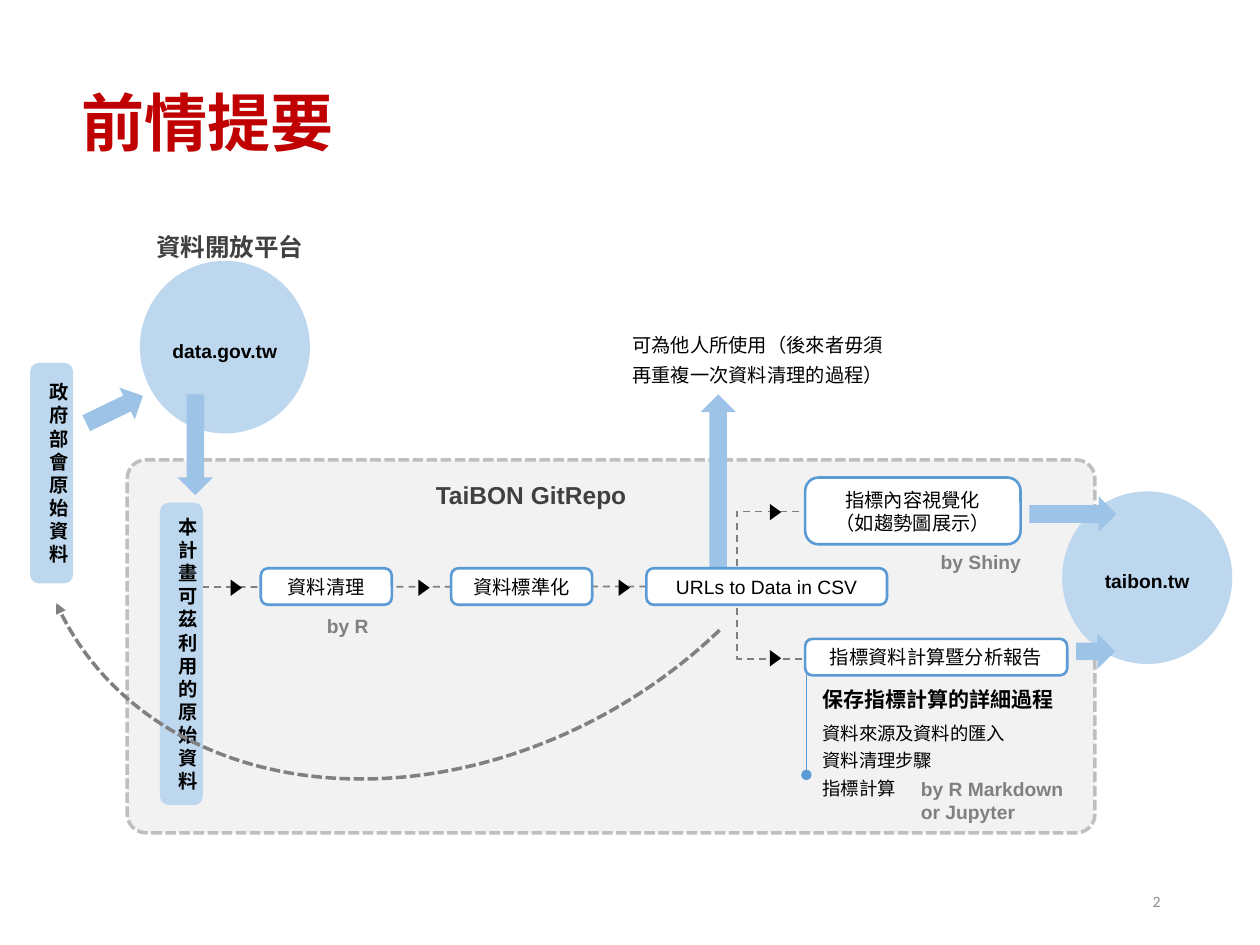
from dataclasses import dataclass

from lxml import etree
from pptx import Presentation
from pptx.dml.color import RGBColor
from pptx.enum import dml, shapes, text
from pptx.oxml import ns
from pptx.util import Inches, Pt

SHAPE = shapes.MSO_SHAPE
DASH = dml.MSO_LINE
ALIGN = text.PP_ALIGN
ANCHOR = text.MSO_ANCHOR


@dataclass(frozen=True)
class Theme:
    latin: str = "Arial"
    cjk: str = "Noto Sans CJK SC"
    number_font: str = "Calibri"
    red: str = "C00000"
    black: str = "000000"
    heading: str = "404040"
    grey: str = "808080"
    branch: str = "7F7F7F"
    number: str = "8C8C8C"
    panel: str = "F2F2F2"
    panel_edge: str = "BFBFBF"
    pale_blue: str = "BDD7EE"
    arrow_blue: str = "9DC3E6"
    edge_blue: str = "5B9BD5"
    white: str = "FFFFFF"
    title_size: float = 36
    heading_size: float = 14
    detail_title_size: float = 12
    body_size: float = 11
    detail_size: float = 10.5
    number_size: float = 9


T = Theme()


def colour(value):
    return RGBColor.from_string(value)


def style_line(line, value, width, dash=None):
    line.color.rgb = colour(value)
    line.width = Pt(width)
    if dash:
        line.dash_style = dash


def add_tail(item, kind):
    line = item.line._get_or_add_ln()
    etree.SubElement(line, ns.qn("a:tailEnd"), type=kind)


def write(frame, lines, size=T.body_size, font=T.latin, ink=T.black, bold=False,
          align=ALIGN.CENTER, spacing=None):
    frame.word_wrap = True
    frame.text = "\n".join(lines)
    for paragraph in frame.paragraphs:
        paragraph.alignment = align
        if spacing:
            paragraph.line_spacing = spacing
        style = paragraph.font
        style.size, style.bold, style.name = Pt(size), bold, font
        style.color.rgb = colour(ink)
        defaults = paragraph._p.pPr.find(ns.qn("a:defRPr"))
        etree.SubElement(defaults, ns.qn("a:ea"), typeface=T.cjk)


class Region:
    """A part of the slide; positions are inches from its top left corner."""

    def __init__(self, slide, left, top):
        self.shapes, self.left, self.top = slide.shapes, left, top

    def place(self, x, y):
        return Inches(self.left + x), Inches(self.top + y)

    def shape(self, kind, x, y, w, h, fill=None, line=None, adjust=(), rotation=0):
        item = self.shapes.add_shape(kind, *self.place(x, y), Inches(w), Inches(h))
        item.shadow.inherit = False
        item.rotation = rotation
        for index, value in enumerate(adjust):
            item.adjustments[index] = value
        if fill:
            item.fill.solid()
            item.fill.fore_color.rgb = colour(fill)
        else:
            item.fill.background()
        if line:
            style_line(item.line, *line)
        else:
            item.line.fill.background()
        return item

    def label(self, x, y, w, h, *lines, **style):
        frame = self.shapes.add_textbox(*self.place(x, y), Inches(w), Inches(h)).text_frame
        write(frame, lines, **style)
        return frame

    def line(self, x1, y1, x2, y2, *style):
        item = self.shapes.add_connector(
            shapes.MSO_CONNECTOR.STRAIGHT, *self.place(x1, y1), *self.place(x2, y2))
        etree.SubElement(item._element.spPr, ns.qn("a:effectLst"))
        style_line(item.line, *style)
        return item

    def filled_text(self, item, *lines, margins=(0.05, 0.05), **style):
        frame = item.text_frame
        frame.margin_left, frame.margin_right = map(Inches, margins)
        frame.margin_top = frame.margin_bottom = 0
        frame.vertical_anchor = ANCHOR.MIDDLE
        write(frame, lines, **style)

    def step(self, x, y, w, h, *lines, font=T.cjk):
        item = self.shape(SHAPE.ROUNDED_RECTANGLE, x, y, w, h, T.white,
                          (T.edge_blue, 1.5), (0.2,))
        self.filled_text(item, *lines, font=font)
        return item

    def bar(self, x, y, h, name):
        item = self.shape(SHAPE.ROUNDED_RECTANGLE, x, y, 0.34, h, T.pale_blue, adjust=(0.2,))
        self.filled_text(item, name, margins=(0.13, 0.05), font=T.cjk, bold=True)

    def site(self, x, y, address):
        item = self.shape(SHAPE.OVAL, x, y, 1.35, 1.37, T.pale_blue)
        self.filled_text(item, address, bold=True, spacing=1.3)

    def arrow(self, x, y, length, rotation=0):
        self.shape(SHAPE.RIGHT_ARROW, x, y, length, 0.28, T.arrow_blue, rotation=rotation)

    def heading(self, x, y, w, h, name):
        self.label(x, y, w, h, name, size=T.heading_size, ink=T.heading, bold=True, spacing=1.3)

    def tool(self, x, y, w, h, name, **style):
        self.label(x, y, w, h, name, ink=T.grey, bold=True, **style)


def add_title(slide, left, top):
    Region(slide, left, top).label(0, 0, 8.89, 1.11, "前情提要", size=T.title_size,
                                   font=T.cjk, ink=T.red, bold=True, align=ALIGN.LEFT)


def add_page_number(slide, left, top):
    frame = Region(slide, left, top).label(0, 0, 2.25, 0.4, "2", size=T.number_size,
                                           font=T.number_font, ink=T.number, align=ALIGN.RIGHT)
    frame.vertical_anchor = ANCHOR.MIDDLE


def add_workflow(slide, left, top):
    panel = Region(slide, left, top)
    panel.shape(SHAPE.ROUNDED_RECTANGLE, 0, 0, 7.68, 2.96, T.panel,
                (T.panel_edge, 2, DASH.SQUARE_DOT), (0.05,))
    panel.heading(0.03, 0.04, 6.35, 0.41, "TaiBON GitRepo")

    # Paths behind the steps; the branch frame is left open on its right
    panel.arrow(3.97, 0.06, 1.44, 270)
    panel.shape(SHAPE.RECTANGLE, 4.84, 0.41, 2, 1.17, line=(T.branch, 1, DASH.DASH))
    panel.shape(SHAPE.ROUNDED_RECTANGLE, 6.64, 0.48, 0.39, 1.09, T.panel)
    detail_rule = panel.line(5.39, 1.55, 5.39, 2.5, T.edge_blue, 0.75)
    add_tail(detail_rule, "oval")
    flow = panel.line(4.14, 1.01, 0.44, 1.01, T.grey, 1, DASH.DASH)

    # Steps
    panel.bar(0.26, 0.34, 2.4, "本計畫可茲利用的原始資料")
    panel.step(1.06, 0.86, 1.04, 0.29, "資料清理")
    panel.step(2.57, 0.86, 1.12, 0.29, "資料標準化")
    urls = panel.step(4.12, 0.86, 1.91, 0.29, "URLs to Data in CSV", font=T.latin)
    flow.begin_connect(urls, 1)
    panel.step(5.38, 0.14, 1.71, 0.53, "指標內容視覺化", "（如趨勢圖展示）")
    panel.step(5.38, 1.42, 2.08, 0.29, "指標資料計算暨分析報告")
    for x, y in ((0.8, 0.97), (2.29, 0.97), (3.88, 0.97), (5.08, 0.37), (5.08, 1.53)):
        panel.shape(SHAPE.ISOSCELES_TRIANGLE, x, y, 0.13, 0.09, T.black, rotation=90)

    # Report details
    details = panel.label(5.42, 1.75, 2.38, 1, "保存指標計算的詳細過程", "資料來源及資料的匯入",
                          "資料清理步驟", "指標計算", size=T.detail_size, font=T.cjk,
                          align=ALIGN.JUSTIFY)
    for paragraph, gap in zip(details.paragraphs, (6, 3, 3, 6)):
        paragraph.space_after = Pt(gap)
    lead = details.paragraphs[0].font
    lead.size, lead.bold = Pt(T.detail_title_size), True

    # Tools
    panel.tool(1.43, 1.12, 0.64, 0.32, "by R", spacing=1.3)
    panel.tool(6.2, 0.61, 1.15, 0.32, "by Shiny", spacing=1.3)
    panel.tool(6.2, 2.47, 1.34, 0.47, "by R Markdown or Jupyter", align=ALIGN.LEFT)


def add_website(slide, left, top):
    website = Region(slide, left, top)
    website.site(0, 0, "taibon.tw")
    website.arrow(-0.26, 0.04, 0.69)
    website.arrow(0.11, 1.13, 0.31)


def add_sources(slide, left, top):
    sources = Region(slide, left, top)
    sources.heading(0.59, 0, 1.99, 0.38, "資料開放平台")
    sources.site(0.87, 0.35, "data.gov.tw")
    sources.bar(0, 1.16, 1.75, "政府部會原始資料")
    sources.arrow(0.42, 1.39, 0.5, 334.3)
    sources.arrow(0.91, 1.67, 0.8, 90)


def add_reuse(slide, left, top):
    reuse = Region(slide, left, top)
    reuse.label(0, 0, 2.3, 0.58, "可為他人所使用（後來者毋須再重複一次資料清理的過程）",
                font=T.cjk, align=ALIGN.LEFT, spacing=1.3)


def add_feedback(slide, left, top):
    # Start and end angles of the arc, in units of 5/3 degree
    feedback = Region(slide, left, top).shape(
        SHAPE.ARC, 0, 0, 6.9, 5.46, line=(T.grey, 2, DASH.SQUARE_DOT),
        adjust=(149.56, 2.42), rotation=149.5)
    add_tail(feedback, "triangle")


def main():
    deck = Presentation()
    deck.slide_width, deck.slide_height = Inches(10), Inches(7.5)
    slide = deck.slides.add_slide(deck.slide_layouts[6])
    add_page_number(slide, 7.06, 6.95)
    add_title(slide, 0.55, 0.61)
    add_workflow(slide, 1.01, 3.65)
    add_website(slide, 8.43, 3.9)
    add_sources(slide, 0.24, 1.72)
    add_reuse(slide, 4.92, 2.54)
    add_feedback(slide, 0.08, 0.52)
    deck.save("out.pptx")


if __name__ == "__main__":
    main()
